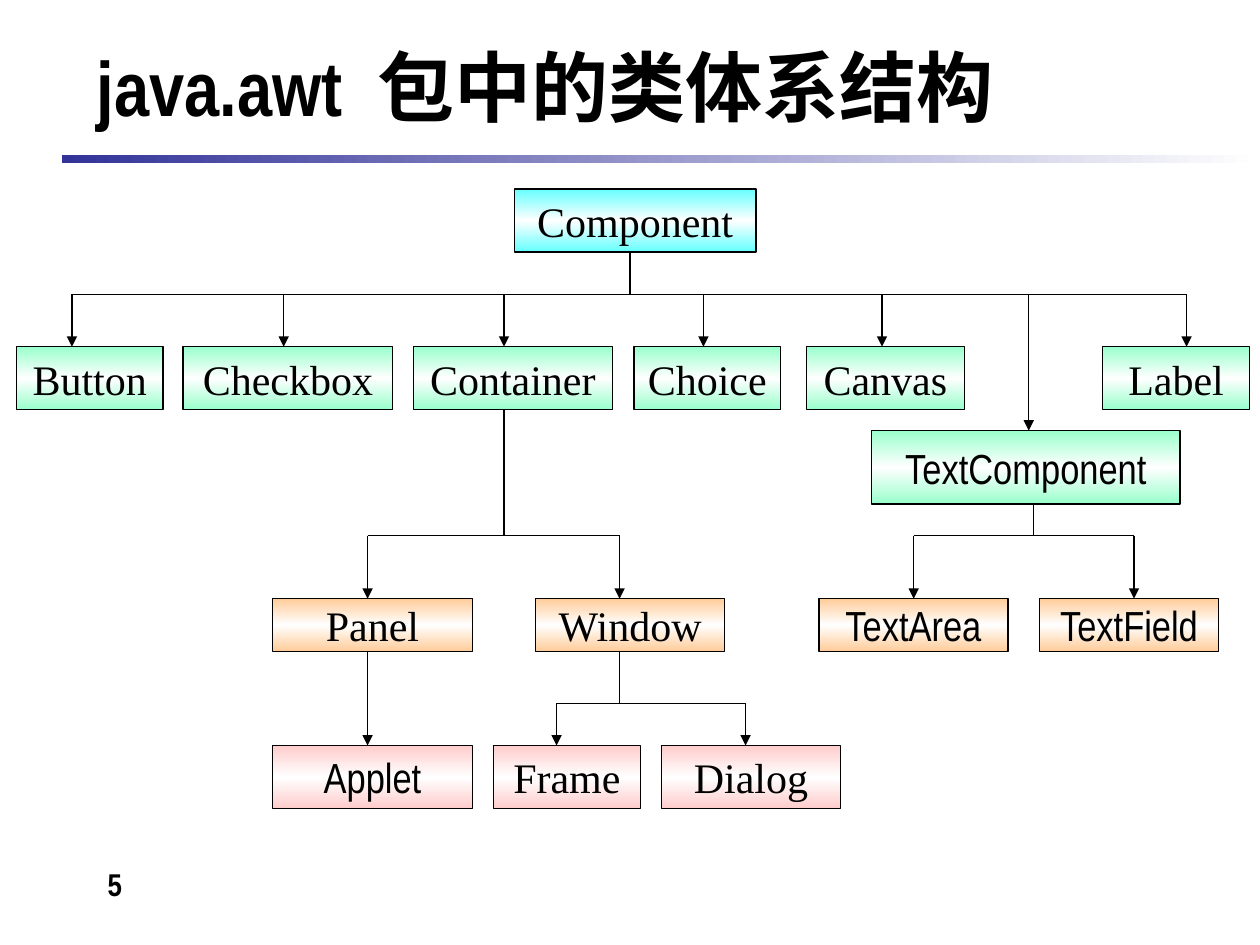
"""Build the java.awt class hierarchy slide."""
from copy import deepcopy
from typing import NamedTuple

from lxml import etree
from pptx import Presentation
from pptx.dml.color import RGBColor
from pptx.enum.shapes import MSO_CONNECTOR, MSO_SHAPE
from pptx.enum.text import MSO_ANCHOR, PP_ALIGN
from pptx.oxml.ns import qn
from pptx.util import Cm, Pt

RECTANGLE = MSO_SHAPE.RECTANGLE
STRAIGHT = MSO_CONNECTOR.STRAIGHT
MIDDLE, TOP = MSO_ANCHOR.MIDDLE, MSO_ANCHOR.TOP
CENTER, LEFT = PP_ALIGN.CENTER, PP_ALIGN.LEFT
SERIF, NARROW = "Times New Roman", "Arial Narrow"
COLOURS = {
    "ink": "000000", "paper": "FFFFFF", "bar": "333399", "root": "66FFFF",
    "widget": "99FFCC", "child": "FFCC99", "leaf": "FFCCCC",
}


class ClassBox(NamedTuple):
    """A class name with its horizontal place in centimetres."""
    name: str
    left: float
    width: float
    font: str = SERIF


class Level(NamedTuple):
    """A row of class boxes sharing colour, top and height."""
    colour: str
    top: float
    height: float
    boxes: list[ClassBox]


class Branch(NamedTuple):
    """A trunk from a parent down to a bus with arrows to the children."""
    trunk: float
    top: float
    bus: float
    bottom: float
    drops: list[float]


LEVELS = [
    Level("root", 3.81, 1.27, [ClassBox("Component", 10.37, 4.87)]),
    Level("widget", 6.99, 1.27, [
        ClassBox("Button", 0.33, 2.96), ClassBox("Checkbox", 3.69, 4.23),
        ClassBox("Container", 8.33, 4.02), ClassBox("Choice", 12.78, 2.96),
        ClassBox("Canvas", 16.26, 3.18), ClassBox("Label", 22.23, 2.96)]),
    Level("widget", 8.68, 1.48, [ClassBox("TextComponent", 17.57, 6.22, NARROW)]),
    Level("child", 12.07, 1.06, [
        ClassBox("Panel", 5.5, 4.02), ClassBox("Window", 10.8, 3.81),
        ClassBox("TextArea", 16.51, 3.81, NARROW),
        ClassBox("TextField", 20.96, 3.6, NARROW)]),
    Level("leaf", 15.03, 1.27, [
        ClassBox("Applet", 5.5, 4.02, NARROW), ClassBox("Frame", 9.95, 2.96),
        ClassBox("Dialog", 13.34, 3.6)]),
]
BRANCHES = [
    Branch(12.7, 5.08, 5.93, 6.99, [1.45, 5.72, 10.16, 14.18, 17.78, 23.92]),
    Branch(10.16, 8.26, 10.8, 12.07, [7.41, 12.49]),
    Branch(12.49, 13.12, 14.18, 15.03, [11.22, 15.03]),
    Branch(20.83, 10.16, 10.8, 12.07, [18.42, 22.86]),
]
SINGLE_ARROWS = [(20.74, 5.93, 8.68), (7.41, 13.12, 15.03)]


def colour(name: str) -> RGBColor:
    """Look up a named colour."""
    return RGBColor.from_string(COLOURS[name])


def add_run(paragraph, text: str, size: float, font: str, bold: bool = False):
    """Add one formatted run to the paragraph."""
    run = paragraph.add_run()
    run.text = text
    run.font.size = Pt(size)
    run.font.name = font
    run.font.bold = bold
    run.font.color.rgb = colour("ink")
    return run


def prepare_text(shape, anchor, alignment, wrap: bool):
    """Set up the text frame and return its first paragraph."""
    shape.text_frame.word_wrap = wrap
    shape.text_frame.vertical_anchor = anchor
    paragraph = shape.text_frame.paragraphs[0]
    paragraph.alignment = alignment
    return paragraph


def add_gradient_box(slide, left: float, top: float, width: float, height: float,
                     stops: list[str], angle: int):
    """Add a rectangle with evenly spaced gradient stops."""
    shape = slide.shapes.add_shape(RECTANGLE, Cm(left), Cm(top), Cm(width), Cm(height))
    shape.shadow.inherit = False
    shape.fill.gradient()
    shape.fill.gradient_angle = angle
    stop_list = next(shape._element.iter(qn("a:gsLst")))
    while len(stop_list) < len(stops):
        stop_list.append(deepcopy(stop_list[-1]))
    for index, (stop, name) in enumerate(zip(shape.fill.gradient_stops, stops)):
        stop.position = index / (len(stops) - 1)
        stop.color.rgb = colour(name)
    return shape


def add_class(slide, level: Level, box: ClassBox) -> None:
    """Add one class box of a level."""
    shape = add_gradient_box(slide, box.left, level.top, box.width, level.height,
                             [level.colour, "paper", level.colour], 90)
    shape.line.color.rgb = colour("ink")
    shape.line.width = Pt(0.75)
    add_run(prepare_text(shape, MIDDLE, CENTER, False), box.name, 24, box.font)


def add_line(slide, x1: float, y1: float, x2: float, y2: float,
             arrow: bool = False) -> None:
    """Add a thin line, optionally ending in an arrowhead."""
    line = slide.shapes.add_connector(STRAIGHT, Cm(x1), Cm(y1), Cm(x2), Cm(y2))
    line.line.color.rgb = colour("ink")
    line.line.width = Pt(0.75)
    properties = line._element.spPr
    if arrow:
        etree.SubElement(properties.find(qn("a:ln")), qn("a:tailEnd"), type="triangle")
    etree.SubElement(properties, qn("a:effectLst"))


def add_branch(slide, branch: Branch) -> None:
    """Add the trunk, bus and arrows of a branch."""
    add_line(slide, branch.drops[0], branch.bus, branch.drops[-1], branch.bus)
    add_line(slide, branch.trunk, branch.top, branch.trunk, branch.bus)
    for x in branch.drops:
        add_line(slide, x, branch.bus, x, branch.bottom, arrow=True)


def add_title(slide) -> None:
    """Add the slide title with a widened word gap."""
    title = slide.shapes.add_textbox(Cm(1.7), Cm(0.53), Cm(21.79), Cm(2.39))
    paragraph = prepare_text(title, MIDDLE, LEFT, True)
    add_run(paragraph, "java.awt", 44, NARROW, True)
    gap = add_run(paragraph, " ", 44, NARROW, True)
    gap.font._element.set("spc", "1000")
    add_run(paragraph, "包中的类体系结构", 44, NARROW, True)


def main() -> None:
    """Build and save the presentation."""
    presentation = Presentation()
    presentation.slide_width, presentation.slide_height = Cm(25.4), Cm(19.05)
    slide = presentation.slides.add_slide(presentation.slide_layouts[6])
    bar = add_gradient_box(slide, 1.25, 3.12, 24.15, 0.16, ["bar", "paper"], 0)
    bar.line.fill.background()
    add_title(slide)
    for level in LEVELS:
        for box in level.boxes:
            add_class(slide, level, box)
    for branch in BRANCHES:
        add_branch(slide, branch)
    for x, top, bottom in SINGLE_ARROWS:
        add_line(slide, x, top, x, bottom, arrow=True)
    number = slide.shapes.add_textbox(Cm(0.51), Cm(17.32), Cm(3.61), Cm(1.32))
    add_run(prepare_text(number, TOP, CENTER, True), "5", 18, NARROW, True)
    presentation.save("out.pptx")


if __name__ == "__main__":
    main()
